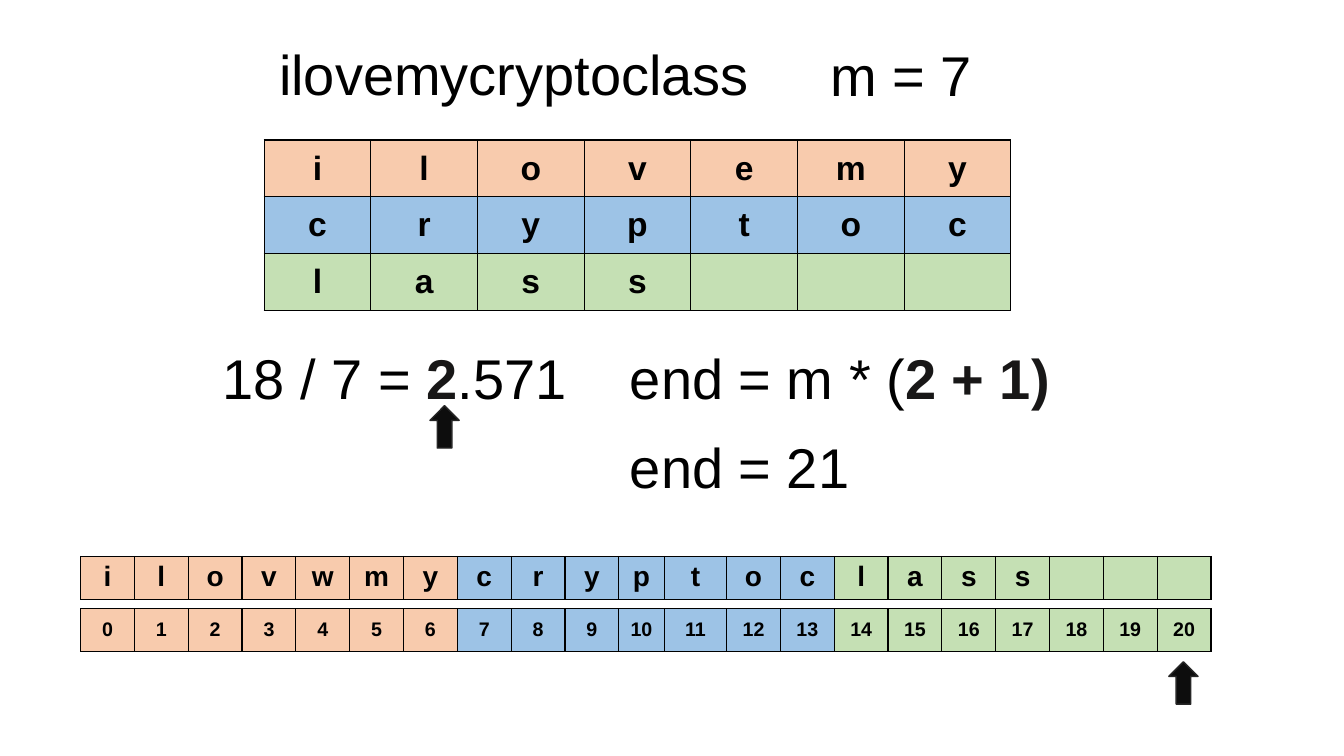
from dataclasses import dataclass, field

from lxml import etree
from pptx import Presentation
from pptx.dml.color import RGBColor
from pptx.enum.shapes import MSO_SHAPE
from pptx.enum.text import MSO_ANCHOR, PP_ALIGN
from pptx.oxml.ns import qn
from pptx.util import Emu, Inches, Pt

RIGHT_ARROW = MSO_SHAPE.RIGHT_ARROW
CENTER, LEFT = PP_ALIGN.CENTER, PP_ALIGN.LEFT
TOP, MIDDLE = MSO_ANCHOR.TOP, MSO_ANCHOR.MIDDLE
FONT = "Arial"
BLACK, SOFT_BLACK = "000000", "181717"
ROW_COLORS = ["F8CBAD", "9DC3E6", "C5E0B4"]
KEY = 7
END = KEY * len(ROW_COLORS)
SLIDE_WIDTH, SLIDE_HEIGHT = Inches(13.333), Inches(7.5)


@dataclass(frozen=True)
class Area:
    """A rectangle in percent of the slide's width and height."""
    left: float
    top: float
    width: float
    height: float

    def box(self) -> tuple:
        """Return left, top, width and height as lengths."""
        return (across(self.left), down(self.top),
                across(self.width), down(self.height))


@dataclass(frozen=True)
class Formula:
    """A line of large text; bold marks the emphasised pieces."""
    area: Area
    pieces: list


@dataclass(frozen=True)
class LetterGrid:
    """A table that takes its cells row by row from a sequence."""
    area: Area
    rows: int
    columns: int
    entries: list
    size: int
    anchor: MSO_ANCHOR = MIDDLE
    special_widths: dict = field(default_factory=dict)


def across(percent: float) -> Emu:
    """Turn a percentage of the slide's width into a length."""
    return Emu(round(SLIDE_WIDTH * percent / 100))


def down(percent: float) -> Emu:
    """Turn a percentage of the slide's height into a length."""
    return Emu(round(SLIDE_HEIGHT * percent / 100))


def color(hex_value: str) -> RGBColor:
    """Turn a hex string into a colour."""
    return RGBColor.from_string(hex_value)


def write(paragraph, text: str, *, size: int, bold: bool = False,
          ink: str = BLACK, align: PP_ALIGN = LEFT) -> None:
    """Append formatted text to a paragraph."""
    paragraph.alignment = align
    run = paragraph.add_run()
    run.text = text
    run.font.name = FONT
    run.font.size = Pt(size)
    run.font.bold = bold
    run.font.color.rgb = color(ink)


def add_borders(cell) -> None:
    """Give a cell thin black lines on all four sides."""
    properties = cell._tc.get_or_add_tcPr()
    for position, side in enumerate(("a:lnL", "a:lnR", "a:lnT", "a:lnB")):
        line = etree.Element(qn(side), w=str(Pt(1)))
        fill = etree.SubElement(line, qn("a:solidFill"))
        etree.SubElement(fill, qn("a:srgbClr"), val=BLACK)
        properties.insert(position, line)


def draw_grid(slide, grid: LetterGrid) -> None:
    """Draw a letter grid, coloured in groups as long as the key."""
    table = slide.shapes.add_table(grid.rows, grid.columns,
                                   *grid.area.box()).table
    table.first_row = table.horz_banding = False
    special = grid.special_widths
    regular = ((grid.area.width - sum(special.values()))
               / (grid.columns - len(special)))
    for index, column in enumerate(table.columns):
        column.width = across(special.get(index, regular))
    for index, cell in enumerate(table.iter_cells()):
        cell.fill.solid()
        cell.fill.fore_color.rgb = color(ROW_COLORS[index // KEY])
        cell.vertical_anchor = grid.anchor
        add_borders(cell)
        if index < len(grid.entries):
            write(cell.text_frame.paragraphs[0], grid.entries[index],
                  size=grid.size, bold=True, align=CENTER)


def draw_formula(slide, formula: Formula) -> None:
    """Draw a formula, with its emphasised pieces in bold."""
    frame = slide.shapes.add_textbox(*formula.area.box()).text_frame
    frame.word_wrap = True
    for text, bold in formula.pieces:
        write(frame.paragraphs[0], text, size=40, bold=bold,
              ink=SOFT_BLACK if bold else BLACK)


def draw_pointer(slide, area: Area) -> None:
    """Draw a dark arrow that points up."""
    pointer = slide.shapes.add_shape(RIGHT_ARROW, *area.box())
    pointer.rotation = 270
    pointer.shadow.inherit = False
    pointer.fill.solid()
    pointer.fill.fore_color.rgb = color("0D0D0D")
    pointer.line.color.rgb = color("262626")
    pointer.line.width = Pt(1)


STRIP_WIDTHS = {10: 3.38, 11: 4.65}
GRIDS = [
    LetterGrid(Area(19.65, 18.53, 55.58, 22.53), len(ROW_COLORS), KEY,
               list("ilovemycryptoclass"), 24),
    LetterGrid(Area(6, 73.6, 84.15, 5.73), 1, END,
               list("ilovwmycryptoclass"), 20, TOP, STRIP_WIDTHS),
    LetterGrid(Area(6, 80.53, 84.15, 5.6), 1, END,
               [str(index) for index in range(END)], 14, MIDDLE, STRIP_WIDTHS),
]
FORMULAS = [
    Formula(Area(20.03, 4.53, 37.35, 10.27), [("ilovemycryptoclass", False)]),
    Formula(Area(61.05, 4.67, 24, 10.27), [("m = 7", False)]),
    Formula(Area(15.83, 44.8, 37.35, 10.27),
            [("18 / 7 = ", False), ("2", True), (".571", False)]),
    Formula(Area(46.13, 44.8, 37.35, 10.27),
            [("end = m * (", False), ("2 + 1) ", True)]),
    Formula(Area(46.13, 56.53, 37.35, 10.27), [("end = 21", False)]),
]
POINTERS = [Area(31.5, 54.53, 3.15, 3.87), Area(86.48, 88.4, 3.15, 3.87)]


def main() -> None:
    """Build the slide and save it."""
    deck = Presentation()
    deck.slide_width, deck.slide_height = SLIDE_WIDTH, SLIDE_HEIGHT
    slide = deck.slides.add_slide(deck.slide_layouts[6])
    for grid in GRIDS:
        draw_grid(slide, grid)
    for formula in FORMULAS:
        draw_formula(slide, formula)
    for pointer in POINTERS:
        draw_pointer(slide, pointer)
    deck.save("out.pptx")


main()
